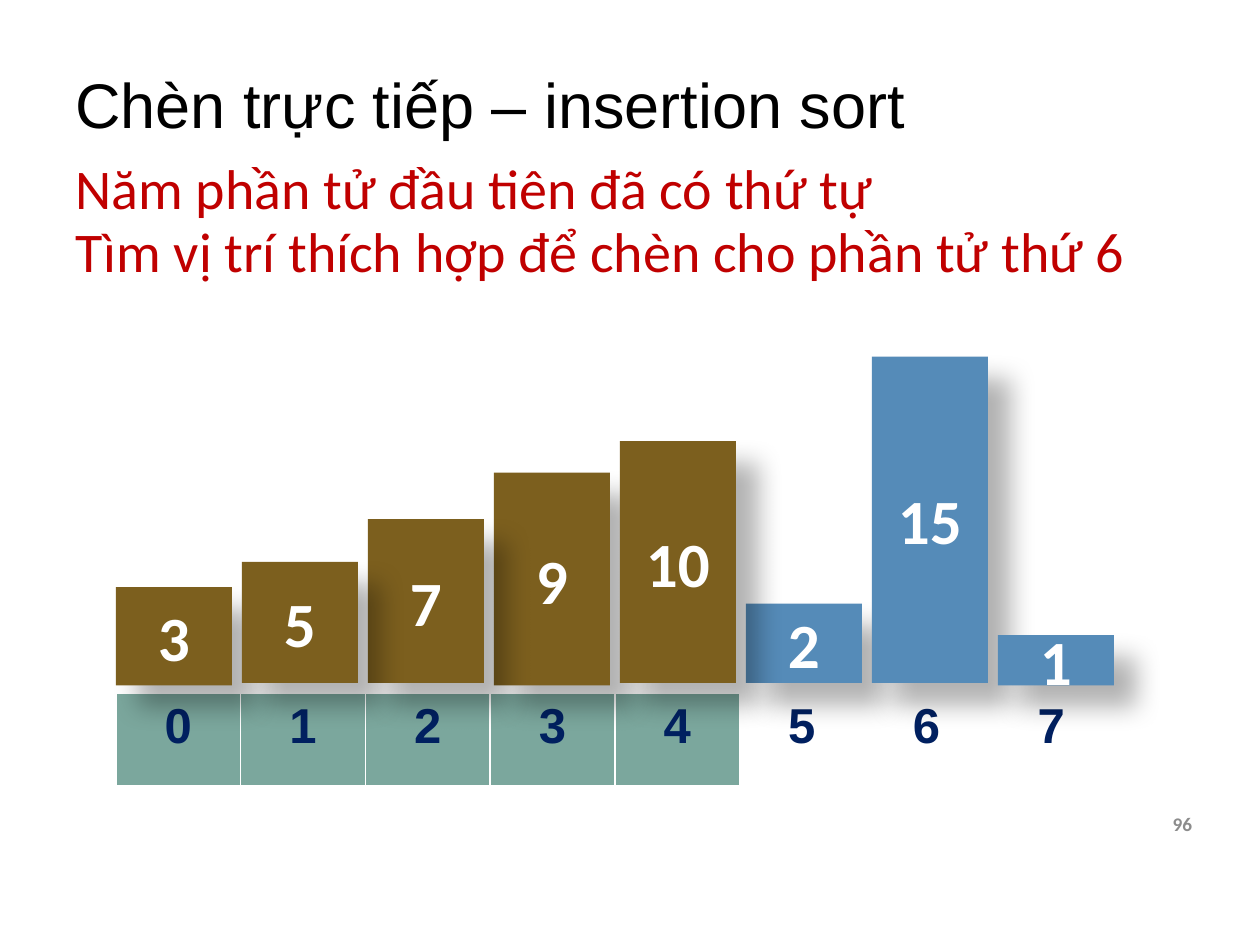
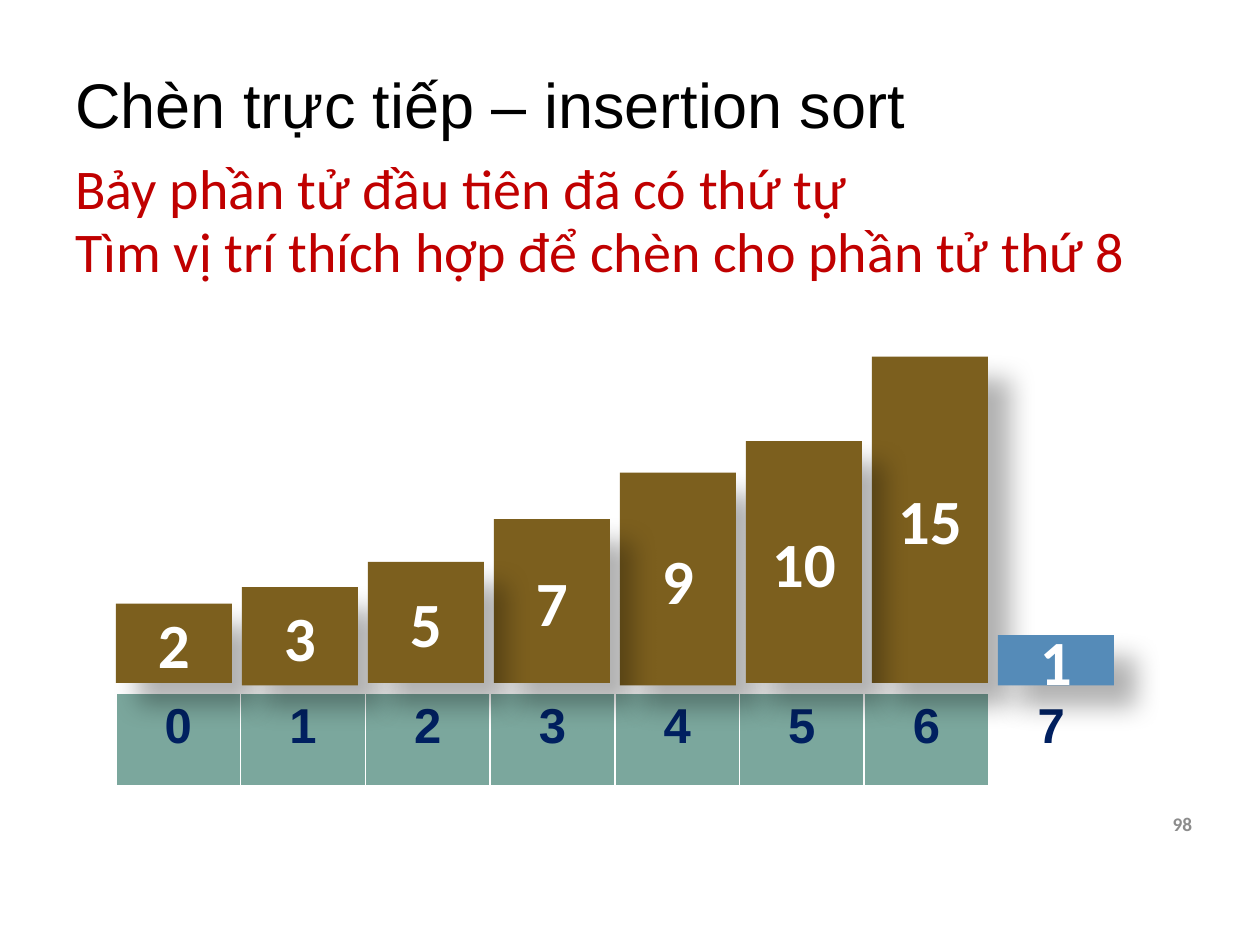
from lxml.etree import SubElement
from pptx import Presentation
from pptx.dml.color import RGBColor
from pptx.enum.shapes import MSO_SHAPE
from pptx.enum.text import MSO_ANCHOR, MSO_AUTO_SIZE, PP_ALIGN
from pptx.oxml.ns import qn
from pptx.util import Inches, Pt

# Shared colours
BLACK, WHITE, GREY = "000000", "FFFFFF", "8C8C8C"
RED, NAVY, TEAL = "C00000", "002060", "7BA79D"
SORTED_BROWN, UNSORTED_BLUE = "7C5F1E", "558BB8"

# Bars and index row
ROW_LEFT, ROW_TOP, ROW_HEIGHT = 0.92, 5.5, 0.75
BAR_WIDTH, BAR_STEP, INDEX_WIDTH = 0.92, 1.0, 0.99
# Value: (top, height) of its bar
BARS = {
    1: (5.04, 0.4), 2: (4.79, 0.63), 3: (4.66, 0.78), 5: (4.46, 0.96),
    7: (4.12, 1.3), 9: (3.75, 1.69), 10: (3.5, 1.92), 15: (2.83, 2.59),
}

# Steps of the sort; "stacking" lists the bars from back to front
STEPS = [
    {"page": 96, "sorted": 5, "count_word": "Năm",
     "values": [3, 5, 7, 9, 10, 2, 15, 1],
     "stacking": [2, 15, 1, 9, 3, 7, 10, 5]},
    {"page": 98, "sorted": 7, "count_word": "Bảy",
     "values": [2, 3, 5, 7, 9, 10, 15, 1],
     "stacking": [15, 2, 9, 3, 7, 10, 5, 1]},
]


def rgb(hex_colour):
    return RGBColor.from_string(hex_colour)


def style_text(paragraph, text, size, colour, font="Calibri", bold=False,
               align=PP_ALIGN.LEFT):
    paragraph.text = text
    paragraph.alignment = align
    paragraph.font.size = Pt(size)
    paragraph.font.name = font
    paragraph.font.bold = bold
    paragraph.font.color.rgb = rgb(colour)


def add_label(slide, box, text, size, colour, anchor=MSO_ANCHOR.MIDDLE,
              **style):
    label = slide.shapes.add_textbox(*map(Inches, box))
    frame = label.text_frame
    frame.word_wrap = True
    frame.vertical_anchor = anchor
    style_text(frame.paragraphs[0], text, size, colour, **style)
    return frame


def add_explanation(slide, top, width, text):
    frame = add_label(slide, (0.5, top, width, 0.64), text, 32, RED,
                      anchor=MSO_ANCHOR.TOP)
    frame.auto_size = MSO_AUTO_SIZE.SHAPE_TO_FIT_TEXT


def add_soft_shadow(shape):
    shape.shadow.inherit = False
    effects = shape._element.spPr.find(qn("a:effectLst"))
    shadow = SubElement(effects, qn("a:outerShdw"), blurRad=str(Pt(15)),
                        dist=str(Pt(18)), dir=str(45 * 60000), algn="tl",
                        rotWithShape="0")
    colour = SubElement(shadow, qn("a:srgbClr"), val=BLACK)
    SubElement(colour, qn("a:alpha"), val="30000")


def add_bar(slide, position, value, colour):
    top, height = BARS[value]
    left = ROW_LEFT + position * BAR_STEP
    bar = slide.shapes.add_shape(
        MSO_SHAPE.RECTANGLE,
        *map(Inches, (left, top, BAR_WIDTH, height)))
    bar.fill.solid()
    bar.fill.fore_color.rgb = rgb(colour)
    bar.line.fill.background()
    add_soft_shadow(bar)
    bar.text_frame.vertical_anchor = MSO_ANCHOR.MIDDLE
    style_text(bar.text_frame.paragraphs[0], str(value), 36, WHITE,
               bold=True, align=PP_ALIGN.CENTER)


def set_borders(cell):
    properties = cell._tc.get_or_add_tcPr()
    for side, width in (("L", 1), ("R", 1), ("T", 1), ("B", 3)):
        border = SubElement(properties, qn(f"a:ln{side}"), w=str(Pt(width)))
        fill = SubElement(border, qn("a:solidFill"))
        SubElement(fill, qn("a:srgbClr"), val=WHITE)


def add_index_row(slide, count, sorted_count):
    row_box = (ROW_LEFT, ROW_TOP, count * INDEX_WIDTH, ROW_HEIGHT)
    index_row = slide.shapes.add_table(1, count, *map(Inches, row_box)).table
    index_row.first_row = index_row.horz_banding = False
    for index in range(count):
        index_row.columns[index].width = Inches(INDEX_WIDTH)
        cell = index_row.cell(0, index)
        set_borders(cell)
        if index < sorted_count:
            cell.fill.solid()
            cell.fill.fore_color.rgb = rgb(TEAL)
        else:
            cell.fill.background()
        style_text(cell.text_frame.paragraphs[0], str(index), 28, NAVY,
                   font="Arial", bold=True, align=PP_ALIGN.CENTER)


def add_step_slide(deck, step):
    slide = deck.slides.add_slide(deck.slide_layouts[6])
    values, sorted_count = step["values"], step["sorted"]
    add_index_row(slide, len(values), sorted_count)

    # Title, page number and explanation
    title = add_label(slide, (0.5, 0.3, 8.92, 1.12),
                      "Chèn trực tiếp – insertion sort", 36, BLACK,
                      font="Arial")
    title.paragraphs[0].line_spacing = 0.9
    add_label(slide, (8.89, 6.25, 0.67, 0.57), str(step["page"]), 11, GREY,
              bold=True, align=PP_ALIGN.RIGHT)
    add_explanation(slide, 1.17, 8.67,
                    f"{step['count_word']} phần tử đầu tiên đã có thứ tự")
    add_explanation(
        slide, 1.67, 8.83,
        f"Tìm vị trí thích hợp để chèn cho phần tử thứ {sorted_count + 1}")

    # Bars
    for value in step["stacking"]:
        position = values.index(value)
        colour = SORTED_BROWN if position < sorted_count else UNSORTED_BLUE
        add_bar(slide, position, value, colour)


def main():
    deck = Presentation()
    deck.slide_width, deck.slide_height = Inches(10), Inches(7.5)
    for step in STEPS:
        add_step_slide(deck, step)
    deck.save("out.pptx")


if __name__ == "__main__":
    main()
